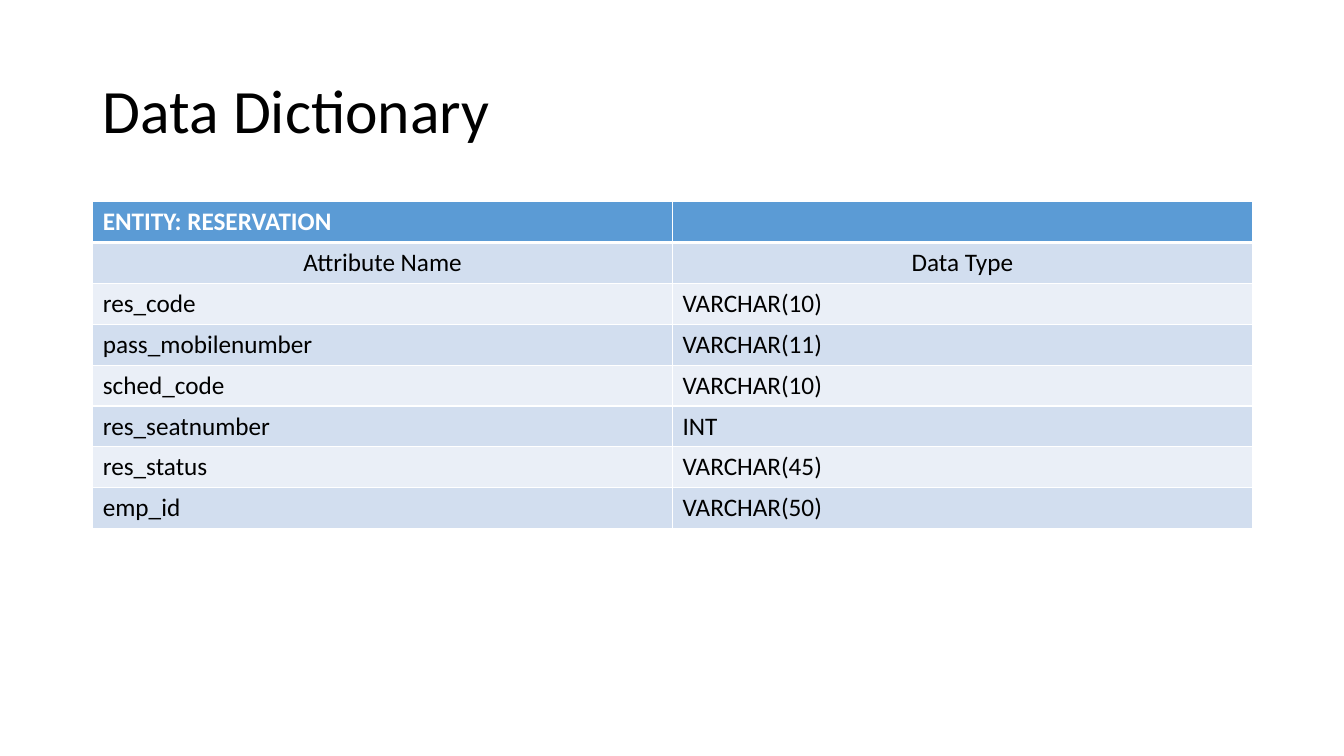
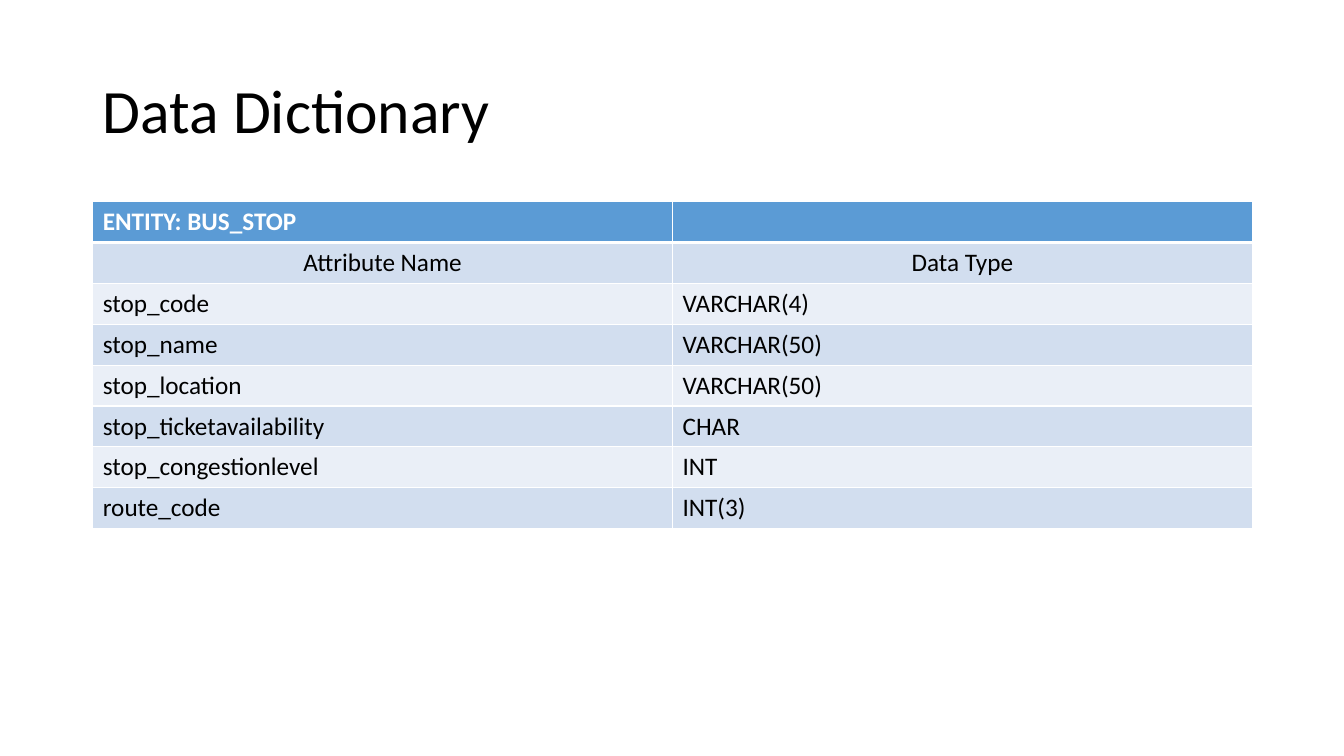
"""Build two data dictionary slides, one entity table on each."""
import pptx
import pptx.dml.color
import pptx.enum.text
import pptx.oxml
import pptx.oxml.ns
import pptx.util

Inches, Pt = pptx.util.Inches, pptx.util.Pt
RGB = pptx.dml.color.RGBColor
ALIGN = pptx.enum.text.PP_ALIGN
ANCHOR = pptx.enum.text.MSO_ANCHOR
FIT = pptx.enum.text.MSO_AUTO_SIZE

WHITE = RGB(0xFF, 0xFF, 0xFF)
BLACK = RGB(0, 0, 0)
BLUE = RGB(0x5B, 0x9B, 0xD5)
BANDS = RGB(0xEA, 0xEF, 0xF7), RGB(0xD2, 0xDE, 0xEF)
FONT = "Calibri"

TITLE = "Data Dictionary"
HEADS = ("Attribute Name", "Data Type")
ENTITIES = {
    "RESERVATION": [
        ("res_code", "VARCHAR(10)"),
        ("pass_mobilenumber", "VARCHAR(11)"),
        ("sched_code", "VARCHAR(10)"),
        ("res_seatnumber", "INT"),
        ("res_status", "VARCHAR(45)"),
        ("emp_id", "VARCHAR(50)"),
    ],
    "BUS_STOP": [
        ("stop_code", "VARCHAR(4)"),
        ("stop_name", "VARCHAR(50)"),
        ("stop_location", "VARCHAR(50)"),
        ("stop_ticketavailability", "CHAR"),
        ("stop_congestionlevel", "INT"),
        ("route_code", "INT(3)"),
    ],
}

WIDE, HIGH = 13.33, 7.5
LEFT, SPAN = 0.92, 11.5
TOP, STEP = 2, 0.405


def style(para, size, color, bold=False, align=ALIGN.LEFT):
    para.alignment = align
    font = para.font
    font.name, font.size, font.bold = FONT, Pt(size), bold
    font.color.rgb = color


def border(cell, row):
    props = cell._tc.get_or_add_tcPr()
    for side in "LRTB":
        thick = (row, side) in ((0, "B"), (1, "T"))
        props.append(pptx.oxml.parse_xml(
            f'<a:ln{side} {pptx.oxml.ns.nsdecls("a")} w="{Pt(3 if thick else 1)}">'
            f'<a:solidFill><a:srgbClr val="{WHITE}"/></a:solidFill></a:ln{side}>'))


def add_title(slide):
    title = slide.shapes.title
    title.left, title.top = Inches(LEFT), Inches(0.4)
    title.width, title.height = Inches(SPAN), Inches(1.45)
    frame = title.text_frame
    frame.text = TITLE
    frame.auto_size = FIT.NONE
    frame.vertical_anchor = ANCHOR.MIDDLE
    para = frame.paragraphs[0]
    para.line_spacing = 0.9
    style(para, 44, BLACK)


def add_grid(slide, name, fields):
    rows = [(f"ENTITY: {name}", ""), HEADS, *fields]
    table = slide.shapes.add_table(
        len(rows), len(HEADS), Inches(LEFT), Inches(TOP),
        Inches(SPAN), Inches(STEP * len(rows))).table
    for r, row in enumerate(rows):
        for c, text in enumerate(row):
            cell = table.cell(r, c)
            cell.text = text
            border(cell, r)
            cell.fill.solid()
            cell.fill.fore_color.rgb = BANDS[r % 2] if r else BLUE
            style(cell.text_frame.paragraphs[0], 18,
                  BLACK if r else WHITE, bold=r == 0,
                  align=ALIGN.CENTER if r == 1 else ALIGN.LEFT)


def main():
    deck = pptx.Presentation()
    deck.slide_width, deck.slide_height = Inches(WIDE), Inches(HIGH)
    for name, fields in ENTITIES.items():
        slide = deck.slides.add_slide(deck.slide_layouts[5])
        add_title(slide)
        add_grid(slide, name, fields)
    deck.save("out.pptx")


if __name__ == "__main__":
    main()
